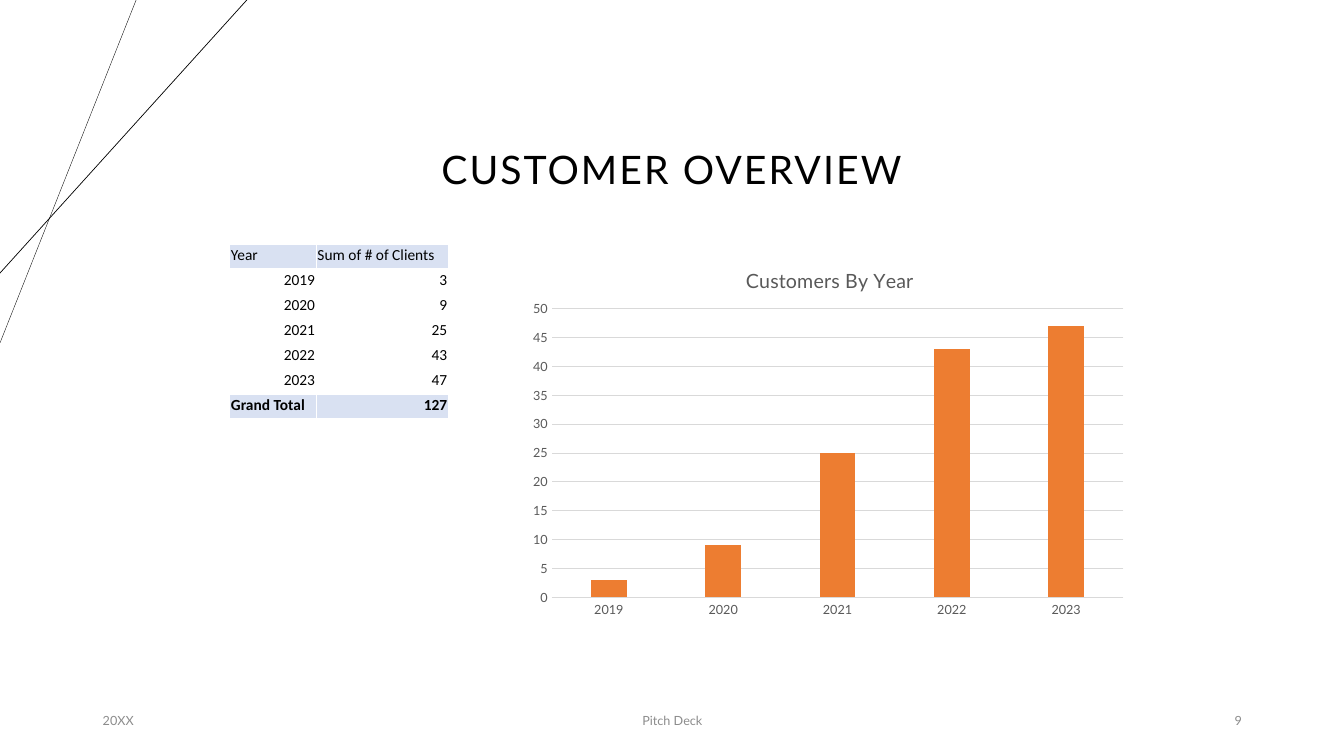
from dataclasses import dataclass

from lxml.etree import SubElement
from pptx import Presentation
from pptx.chart.data import CategoryChartData
from pptx.dml.color import RGBColor
from pptx.enum.chart import XL_CHART_TYPE as ChartType, XL_TICK_MARK as TickMark
from pptx.enum.shapes import MSO_CONNECTOR as Connector
from pptx.enum.text import MSO_ANCHOR as Anchor, PP_ALIGN as Align
from pptx.oxml import parse_xml
from pptx.oxml.ns import nsdecls, qn
from pptx.util import Cm, Pt

COLORS = {
    "ink": "000000",
    "footer": "8C8C8C",
    "band": "D9E1F2",
    "bar": "ED7D31",
    "axis_text": "595959",
    "grid": "D9D9D9",
}
CLIENTS_BY_YEAR = {"2019": 3, "2020": 9, "2021": 25, "2022": 43, "2023": 47}


@dataclass
class CornerLine:
    top_x: float
    left_y: float
    width: float


@dataclass
class FooterItem:
    text: str
    left: float
    width: float
    align: Align


CORNER_LINES = [CornerLine(3.43, 8.64, 0.25), CornerLine(6.22, 6.88, 0.5)]
FOOTER_ITEMS = [
    FooterItem("20XX", 2.34, 7.62, Align.LEFT),
    FooterItem("Pitch Deck", 11.23, 11.43, Align.CENTER),
    FooterItem("9", 23.93, 7.62, Align.RIGHT),
]


def rgb(name: str) -> RGBColor:
    return RGBColor.from_string(COLORS[name])


def apply(target, values: dict) -> None:
    for name, value in values.items():
        setattr(target, name, value)


def format_font(font, size: float, color: str, face: str = "Lato", bold: bool = False) -> None:
    apply(font, {"name": face, "size": Pt(size), "bold": bold})
    font.color.rgb = rgb(color)


def add_corner_line(slide, line: CornerLine) -> None:
    connector = slide.shapes.add_connector(
        Connector.STRAIGHT, Cm(line.top_x), 0, 0, Cm(line.left_y))
    connector.line.color.rgb = rgb("ink")
    connector.line.width = Pt(line.width)
    SubElement(connector.element.spPr, qn("a:effectLst"))


def format_title(title) -> None:
    apply(title, {"left": Cm(5.23), "top": Cm(2.49), "width": Cm(23.39), "height": Cm(3.68)})
    title.text_frame.vertical_anchor = Anchor.MIDDLE
    paragraph = title.text_frame.paragraphs[0]
    apply(paragraph, {"alignment": Align.CENTER, "line_spacing": 0.9})
    run = paragraph.add_run()
    run.text = "CUSTOMER OVERVIEW"
    format_font(run.font, 28, "ink")
    run._r.get_or_add_rPr().set("spc", "150")


def add_footer_item(slide, item: FooterItem) -> None:
    box = slide.shapes.add_textbox(Cm(item.left), Cm(17.65), Cm(item.width), Cm(1.02))
    apply(box.text_frame, {"word_wrap": True, "vertical_anchor": Anchor.MIDDLE})
    paragraph = box.text_frame.paragraphs[0]
    paragraph.alignment = item.align
    run = paragraph.add_run()
    run.text = item.text
    format_font(run.font, 9, "footer")


def add_clients_table(slide) -> None:
    total = ("Grand Total", str(sum(CLIENTS_BY_YEAR.values())))
    rows = [("Year", "Sum of # of Clients")]
    rows += [(year, str(clients)) for year, clients in CLIENTS_BY_YEAR.items()]
    rows.append(total)
    widths = [2.18, 3.33]
    row_height = 0.63
    table = slide.shapes.add_table(
        len(rows), len(widths), Cm(5.79), Cm(6.15),
        Cm(sum(widths)), Cm(row_height * len(rows))).table
    apply(table, {"first_row": False, "horz_banding": False})
    for column, width in zip(table.columns, widths):
        column.width = Cm(width)
    for r, row in enumerate(rows):
        table.rows[r].height = Cm(row_height)
        for c, text in enumerate(row):
            cell = table.cell(r, c)
            apply(cell, {
                "margin_left": Cm(0.03), "margin_top": Cm(0.03),
                "margin_right": Cm(0.03), "margin_bottom": Cm(0.13),
                "vertical_anchor": Anchor.BOTTOM,
            })
            if r in (0, len(rows) - 1):
                cell.fill.solid()
                cell.fill.fore_color.rgb = rgb("band")
            else:
                cell.fill.background()
            paragraph = cell.text_frame.paragraphs[0]
            paragraph.alignment = Align.RIGHT if text.isdigit() else Align.LEFT
            run = paragraph.add_run()
            run.text = text
            format_font(run.font, 11, "ink", "Calibri", bold=row == total)


def manual_layout(**values):
    """Build a chart layout from fractions of the chart area."""
    target = '<c:layoutTarget val="inner"/>' if "w" in values else ""
    modes = '<c:xMode val="edge"/><c:yMode val="edge"/>'
    sizes = "".join(f'<c:{name} val="{value}"/>' for name, value in values.items())
    return parse_xml(f'<c:layout {nsdecls("c")}><c:manualLayout>{target}{modes}{sizes}'
                     "</c:manualLayout></c:layout>")


def place(element, layout) -> None:
    """Give a chart title or plot area its layout."""
    old = element.find(qn("c:layout"))
    if old is not None:
        element.remove(old)
    text = element.find(qn("c:tx"))
    element.insert(0 if text is None else 1, layout)


def add_customers_chart(slide) -> None:
    data = CategoryChartData()
    data.categories = list(CLIENTS_BY_YEAR)
    data.add_series("Series 1", list(CLIENTS_BY_YEAR.values()))
    chart = slide.shapes.add_chart(
        ChartType.COLUMN_CLUSTERED, Cm(13.13), Cm(6.15), Cm(15.49), Cm(9.58), data).chart
    chart.has_legend = False
    format_font(chart.font, 10, "ink")

    title_run = chart.chart_title.text_frame.paragraphs[0].add_run()
    title_run.text = "Customers By Year"
    format_font(title_run.font, 14, "axis_text")
    place(chart.chart_title._element, manual_layout(x=0.36, y=0.05))

    plot = chart.plots[0]
    apply(plot, {"gap_width": 219, "overlap": -27, "vary_by_categories": False})
    bars = plot.series[0].format.fill
    bars.solid()
    bars.fore_color.rgb = rgb("bar")
    place(chart._chartSpace.chart.plotArea, manual_layout(x=0.05, y=0.17, w=0.93, h=0.76))

    years, counts = chart.category_axis, chart.value_axis
    for axis in (years, counts):
        apply(axis, {"major_tick_mark": TickMark.NONE, "minor_tick_mark": TickMark.NONE})
        format_font(axis.tick_labels.font, 9, "axis_text")
    apply(counts, {"minimum_scale": 0, "maximum_scale": 50, "major_unit": 5,
                   "has_major_gridlines": True})
    counts.format.line.fill.background()
    for line in (years.format.line, counts.major_gridlines.format.line):
        line.color.rgb = rgb("grid")
        line.width = Pt(0.75)


def main() -> None:
    deck = Presentation()
    apply(deck, {"slide_width": Cm(33.87), "slide_height": Cm(19.05)})
    slide = deck.slides.add_slide(deck.slide_layouts[5])
    for line in CORNER_LINES:
        add_corner_line(slide, line)
    format_title(slide.shapes.title)
    for item in FOOTER_ITEMS:
        add_footer_item(slide, item)
    add_clients_table(slide)
    add_customers_chart(slide)
    deck.save("out.pptx")


if __name__ == "__main__":
    main()
